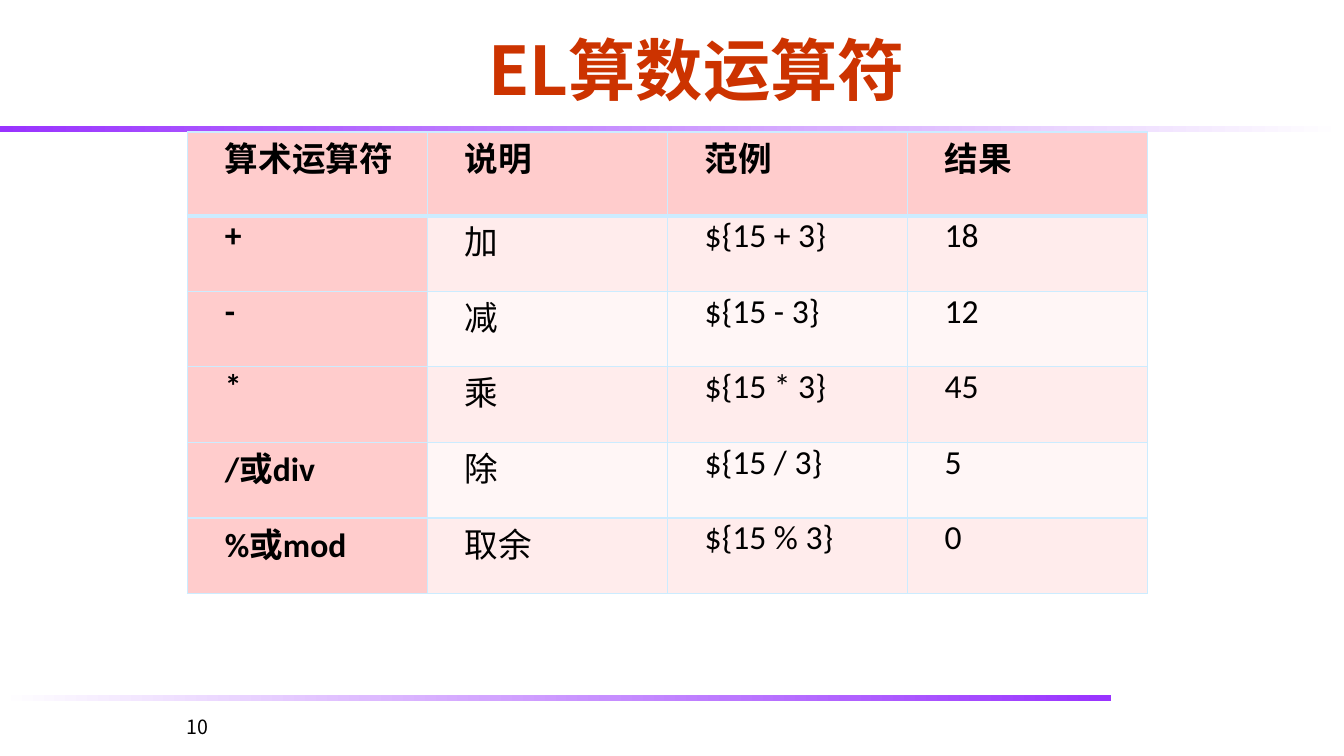
import pptx
import pptx.util
import pptx.dml.color
import pptx.enum.shapes
import pptx.enum.text
import pptx.oxml.ns
from lxml import etree

Inches = pptx.util.Inches
Pt = pptx.util.Pt
RGBColor = pptx.dml.color.RGBColor
PP_ALIGN = pptx.enum.text.PP_ALIGN
qn = pptx.oxml.ns.qn

WHITE = RGBColor(0xFF, 0xFF, 0xFF)
BLACK = RGBColor(0, 0, 0)
PURPLE = RGBColor(0x99, 0x33, 0xFF)
TITLE_RED = RGBColor(0xCC, 0x33, 0x00)
HEADER_PINK = RGBColor(0xFF, 0xCC, 0xCC)
BAND_PINKS = [RGBColor(0xFF, 0xEC, 0xEC), RGBColor(0xFF, 0xF6, 0xF6)]
BORDER_BLUE = RGBColor(0xCC, 0xEC, 0xFF)

OPERATORS = [
    ("算术运算符", "说明", "范例", "结果"),
    ("+", "加", "${15 + 3}", "18"),
    ("-", "减", "${15 - 3}", "12"),
    ("*", "乘", "${15 * 3}", "45"),
    ("/或div", "除", "${15 / 3}", "5"),
    ("%或mod", "取余", "${15 % 3}", "0"),
]


def add_span(para, text, font, size, color, bold=False):
    span = para.add_run()
    span.text = text
    span.font.name = font
    span.font.size = Pt(size)
    span.font.color.rgb = color
    span.font.bold = bold
    return span


def set_east_asian_font(span, font):
    latin = span.font._element.find(qn("a:latin"))
    east_asian = etree.Element(qn("a:ea"), typeface=font)
    latin.addnext(east_asian)


def add_gradient_bar(page, top, width, start, end):
    bar = page.shapes.add_shape(pptx.enum.shapes.MSO_SHAPE.RECTANGLE,
                                0, Inches(top), Inches(width), Inches(0.06))
    bar.shadow.inherit = False
    bar.line.fill.background()
    bar.fill.gradient()
    bar.fill.gradient_angle = 0
    for stop, color in zip(bar.fill.gradient_stops, (start, end)):
        stop.color.rgb = color


def set_title(page, text):
    title = page.shapes.title
    title.left, title.top = Inches(1.22), Inches(0.17)
    title.width, title.height = Inches(11.38), Inches(0.96)
    title.text_frame.vertical_anchor = pptx.enum.text.MSO_ANCHOR.BOTTOM
    para = title.text_frame.paragraphs[0]
    para.alignment = PP_ALIGN.CENTER
    span = add_span(para, text, "Noto Sans CJK SC", 48, TITLE_RED, True)
    set_east_asian_font(span, "Noto Sans CJK SC")


def add_page_number(page, text):
    box = page.shapes.add_textbox(Inches(1.75), Inches(7.04), Inches(0.58), Inches(0.29))
    box.text_frame.word_wrap = True
    add_span(box.text_frame.paragraphs[0], text, "Noto Sans CJK JP", 14, BLACK)


def set_cell_borders(cell, top, bottom):
    properties = cell._tc.get_or_add_tcPr()
    for side, width in (("L", 1), ("R", 1), ("T", top), ("B", bottom)):
        line = etree.SubElement(properties, qn("a:ln" + side), w=str(Pt(width)))
        fill = etree.SubElement(line, qn("a:solidFill"))
        etree.SubElement(fill, qn("a:srgbClr"), val=str(BORDER_BLUE))


def fill_cell(cell, text, color, bold):
    cell.fill.solid()
    cell.fill.fore_color.rgb = color
    cell.margin_left = cell.margin_right = Inches(0.08)
    cell.margin_top = cell.margin_bottom = 0
    para = cell.text_frame.paragraphs[0]
    para.alignment = PP_ALIGN.JUSTIFY
    para._p.get_or_add_pPr().set("indent", str(Inches(0.29)))
    add_span(para, text, "Calibri", 24, BLACK, bold)


def add_operator_table(page, rows):
    table = page.shapes.add_table(len(rows), len(rows[0]), Inches(1.86), Inches(1.31),
                                  Inches(9.53), Inches(4.58)).table
    table.first_row = table.horz_banding = False
    for column in table.columns:
        column.width = Inches(2.38)
    for r, texts in enumerate(rows):
        table.rows[r].height = Inches(0.75 if r else 0.83)
        for c, text in enumerate(texts):
            heading = r == 0 or c == 0
            cell = table.cell(r, c)
            # The rule under the header row is thicker
            set_cell_borders(cell, 3 if r == 1 else 1, 3 if r == 0 else 1)
            color = HEADER_PINK if heading else BAND_PINKS[(r - 1) % 2]
            fill_cell(cell, text, color, heading)


def main():
    deck = pptx.Presentation()
    deck.slide_width, deck.slide_height = Inches(13.33), Inches(7.5)
    page = deck.slides.add_slide(deck.slide_layouts[5])

    # Bars below the title and above the page number
    add_gradient_bar(page, 1.25, 13.33, PURPLE, WHITE)
    add_gradient_bar(page, 6.9, 11.02, WHITE, PURPLE)

    # Title, page number and table
    set_title(page, "EL算数运算符")
    add_page_number(page, "10")
    add_operator_table(page, OPERATORS)

    deck.save("out.pptx")


if __name__ == "__main__":
    main()
